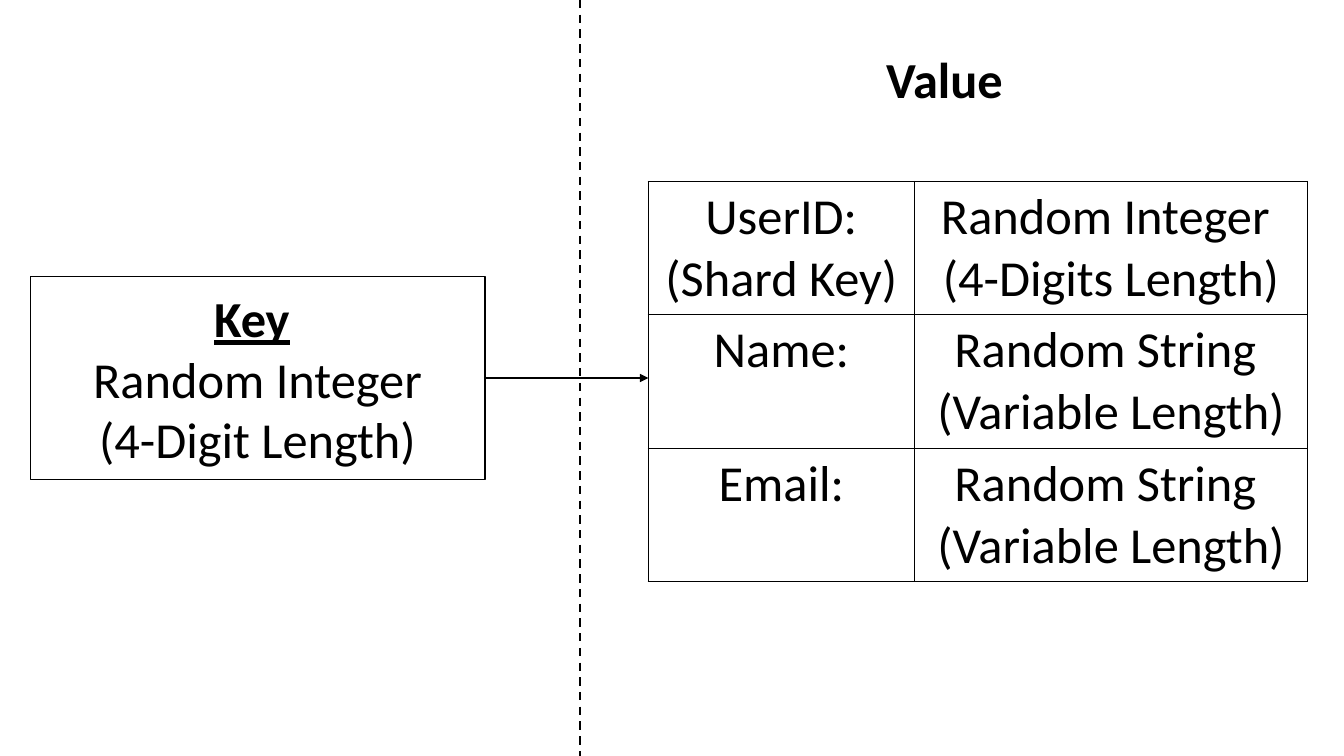
import dataclasses
import typing

import lxml.etree
import pptx
import pptx.dml.color
import pptx.enum.dml
import pptx.enum.shapes
import pptx.enum.text
import pptx.oxml
import pptx.oxml.ns
import pptx.util

Inches = pptx.util.Inches
Pt = pptx.util.Pt
Align = pptx.enum.text.PP_ALIGN
COLOURS = {"ink": "000000", "paper": "FFFFFF"}
FONT = "Calibri"
ROW_HEIGHT = 1.3
COLUMN_WIDTHS = (2.64, 3.9)


@dataclasses.dataclass(frozen=True)
class Field:
    label: tuple[str, ...]
    content: tuple[str, ...]


@dataclasses.dataclass(frozen=True)
class Rule:
    start: tuple[float, float]
    end: tuple[float, float]
    width: float
    dashed: bool = False
    arrow: bool = False


FIELDS = (
    Field(("UserID:", "(Shard Key)"), ("Random Integer ", "(4-Digits Length)")),
    Field(("Name:",), ("Random String ", "(Variable Length)")),
    Field(("Email:",), ("Random String ", "(Variable Length)")),
)
DIVIDER = Rule((5.75, 0), (5.75, 7.5), 1.5, dashed=True)
KEY_ARROW = Rule((4.8, 3.75), (6.43, 3.75), 1, arrow=True)


def colour(name: str) -> pptx.dml.color.RGBColor:
    return pptx.dml.color.RGBColor.from_string(COLOURS[name])


def add_span(para: typing.Any, text: str, *, bold: bool = False, underline: bool = False) -> None:
    span = para.add_run()
    span.text = text
    span.font.name = FONT
    span.font.size = Pt(36)
    span.font.bold = bold
    span.font.underline = underline
    span.font.color.rgb = colour("ink")


def write_lines(frame: typing.Any, lines: tuple[str, ...], *, align: Align = Align.CENTER,
                bold_first: bool = False, underline_first: bool = False) -> None:
    for index, line in enumerate(lines):
        para = frame.add_paragraph() if index else frame.paragraphs[0]
        para.alignment = align
        first = index == 0
        add_span(para, line, bold=bold_first and first, underline=underline_first and first)


def add_rule(page: typing.Any, rule: Rule) -> None:
    line = page.shapes.add_connector(
        pptx.enum.shapes.MSO_CONNECTOR.STRAIGHT,
        *(Inches(value) for value in rule.start + rule.end))
    line.line.color.rgb = colour("ink")
    line.line.width = Pt(rule.width)
    if rule.dashed:
        line.line.dash_style = pptx.enum.dml.MSO_LINE.DASH
    properties = line._element.spPr
    if rule.arrow:
        outline = properties.find(pptx.oxml.ns.qn("a:ln"))
        lxml.etree.SubElement(outline, pptx.oxml.ns.qn("a:tailEnd"), type="triangle")
    lxml.etree.SubElement(properties, pptx.oxml.ns.qn("a:effectLst"))


def add_borders(cell: typing.Any) -> None:
    properties = cell._tc.get_or_add_tcPr()
    for index, side in enumerate(("lnL", "lnR", "lnT", "lnB")):
        border = pptx.oxml.parse_xml(
            f'<a:{side} {pptx.oxml.ns.nsdecls("a")} w="{Pt(1)}"><a:solidFill>'
            f'<a:srgbClr val="{COLOURS["ink"]}"/></a:solidFill></a:{side}>')
        properties.insert(index, border)


def add_key_box(page: typing.Any) -> None:
    box = page.shapes.add_shape(
        pptx.enum.shapes.MSO_SHAPE.RECTANGLE,
        Inches(0.3), Inches(2.74), Inches(4.51), Inches(2.02))
    box.shadow.inherit = False
    box.fill.solid()
    box.fill.fore_color.rgb = colour("paper")
    box.line.color.rgb = colour("ink")
    box.line.width = Pt(1)
    frame = box.text_frame
    frame.word_wrap = True
    frame.vertical_anchor = pptx.enum.text.MSO_ANCHOR.MIDDLE
    write_lines(frame, ("Key", "Random Integer", "(4-Digit Length)"),
                bold_first=True, underline_first=True)
    add_span(frame.paragraphs[0], " ")


def add_value_table(page: typing.Any) -> None:
    table = page.shapes.add_table(
        len(FIELDS), len(COLUMN_WIDTHS), Inches(6.43), Inches(1.8),
        Inches(sum(COLUMN_WIDTHS)), Inches(ROW_HEIGHT * len(FIELDS))).table
    table.first_row = False
    table.horz_banding = False
    for column, width in zip(table.columns, COLUMN_WIDTHS):
        column.width = Inches(width)
    for row, field in zip(table.rows, FIELDS):
        row.height = Inches(ROW_HEIGHT)
        for cell, lines in zip(row.cells, (field.label, field.content)):
            cell.fill.background()
            add_borders(cell)
            write_lines(cell.text_frame, lines)


def add_value_heading(page: typing.Any) -> None:
    box = page.shapes.add_textbox(Inches(8.69), Inches(0.43), Inches(1.59), Inches(0.71))
    frame = box.text_frame
    frame.word_wrap = True
    frame.auto_size = pptx.enum.text.MSO_AUTO_SIZE.SHAPE_TO_FIT_TEXT
    write_lines(frame, ("Value",), align=Align.LEFT, bold_first=True)


def main() -> None:
    deck = pptx.Presentation()
    deck.slide_width = Inches(13.33)
    deck.slide_height = Inches(7.5)
    page = deck.slides.add_slide(deck.slide_layouts.get_by_name("Blank"))
    add_key_box(page)
    add_value_table(page)
    add_rule(page, DIVIDER)
    add_value_heading(page)
    add_rule(page, KEY_ARROW)
    deck.save("out.pptx")


if __name__ == "__main__":
    main()
